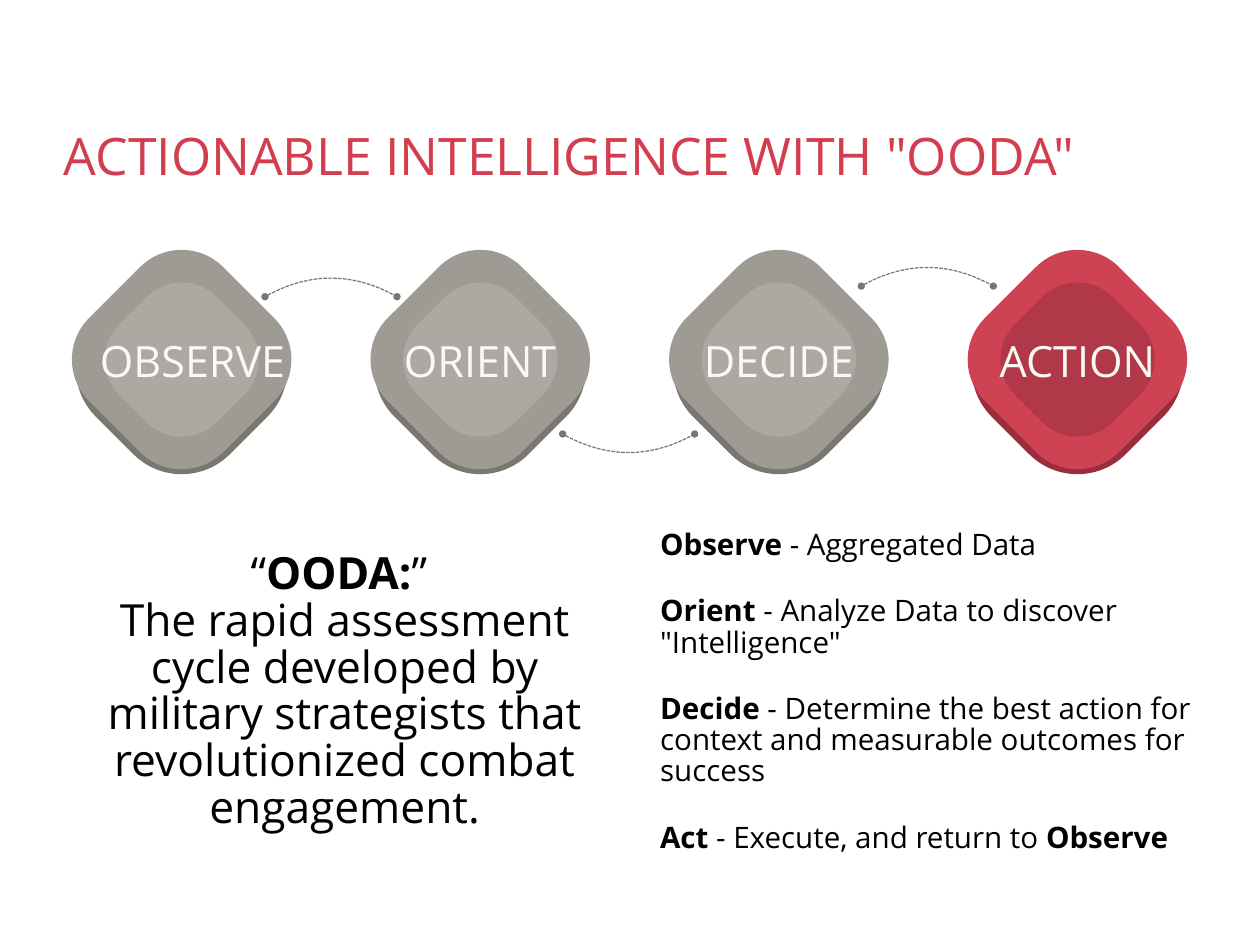
import pptx
import pptx.util
import pptx.dml.color
import pptx.enum.dml
import pptx.enum.shapes
import pptx.enum.text
import pptx.oxml.ns
from lxml import etree

Inches = pptx.util.Inches
Pt = pptx.util.Pt
RGBColor = pptx.dml.color.RGBColor
ALIGN = pptx.enum.text.PP_ALIGN

RED = RGBColor(0xD2, 0x3E, 0x4F)
BLACK = RGBColor(0, 0, 0)
CREAM = RGBColor(0xF9, 0xFA, 0xF5)
ARC = RGBColor(0x7A, 0x76, 0x6F)
GRAYS = (RGBColor(0x7A, 0x76, 0x70), RGBColor(0x9E, 0x9A, 0x94),
         RGBColor(0xAD, 0xA8, 0xA1))
REDS = (RGBColor(0x9A, 0x2D, 0x3C), RGBColor(0xCE, 0x42, 0x54),
        RGBColor(0xB0, 0x38, 0x49))

# Each layer of a gem: side, centre height, corner rounding
LAYERS = ((2.14, 4.16, 0.36), (2.14, 4.06, 0.31), (1.56, 4.06, 0.36))
FIRST, PITCH = 2.05, 3.37
STEPS = (("OBSERVE", GRAYS, 0.25), ("ORIENT", GRAYS, 0),
         ("DECIDE", GRAYS, 0), ("ACTION", REDS, 0))
# Each arc: left, height of its ends, rise (negative is up)
ARCS = ((2.99, 3.35, -0.21), (6.35, 4.9, 0.21), (9.72, 3.23, -0.21))

# Runs alternate between plain and bold, starting with plain
QUOTE = (("“", "OODA:", "” "),
         ("The rapid assessment cycle developed by military strategists "
          "that revolutionized combat engagement.",))
TERMS = (("", "Observe", " - Aggregated Data"),
         ("", "Orient", " - Analyze Data to discover \"Intelligence\""),
         ("", "Decide", " - Determine the best action for context and "
          "measurable outcomes for success"),
         ("", "Act", " - Execute, and return to ", "Observe"))


def put(item, **vals):
    for name, val in vals.items():
        setattr(item, name, val)


class Deck:
    def __init__(self):
        self.font = "Open Sans"
        self.frame = {
            "word_wrap": True,
            "auto_size": pptx.enum.text.MSO_AUTO_SIZE.NONE,
            "vertical_anchor": pptx.enum.text.MSO_ANCHOR.MIDDLE,
            **{"margin_" + side: Inches(0.03)
               for side in ("left", "right", "top", "bottom")}}
        self.prs = pptx.Presentation()
        put(self.prs, slide_width=Inches(14.22), slide_height=Inches(10.67))
        self.slide = self.prs.slides.add_slide(self.prs.slide_layouts[3])

    def words(self, shape, paras, size, color, align, lead=1.0, gap=0):
        frame = shape.text_frame
        put(frame, **self.frame)
        for i, runs in enumerate(paras):
            para = frame.add_paragraph() if i else frame.paragraphs[0]
            put(para, alignment=align, line_spacing=lead, space_after=Pt(0),
                space_before=Pt(gap if i else 0))
            for j, text in enumerate(runs):
                if text:
                    run = para.add_run()
                    run.text = text
                    put(run.font, name=self.font, size=Pt(size),
                        bold=j % 2 == 1)
                    run.font.color.rgb = color

    def fill(self, index, box, paras, size, color, align, **gaps):
        """Move a placeholder to box and set unbulleted text in it."""
        shape = self.slide.placeholders[index]
        put(shape, **dict(zip(("left", "top", "width", "height"),
                              map(Inches, box))))
        self.words(shape, paras, size, color, align, **gaps)
        for para in shape.text_frame.paragraphs:
            props = para._p.get_or_add_pPr()
            props.set("marL", "0")
            props.set("indent", "0")
            etree.SubElement(props, pptx.oxml.ns.qn("a:buNone"))

    def gem(self, mid, label, colors, shift):
        for (side, high, bend), color in zip(LAYERS, colors):
            shape = self.slide.shapes.add_shape(
                pptx.enum.shapes.MSO_SHAPE.ROUNDED_RECTANGLE,
                Inches(mid - side / 2), Inches(high - side / 2),
                Inches(side), Inches(side))
            shape.adjustments[0] = bend
            shape.rotation = 45
            shape.shadow.inherit = False
            shape.fill.solid()
            shape.fill.fore_color.rgb = color
            shape.line.fill.background()
        box = self.slide.shapes.add_textbox(
            Inches(mid - 1.33), Inches(3.71), Inches(2.66), Inches(0.71))
        self.words(box, ((label,),), 35, CREAM, ALIGN.CENTER)
        box.text_frame.margin_left = Inches(0.03 + shift)

    def arc(self, left, base, rise, width=1.49, count=24):
        """Draw a dotted parabola with a round dot at each end."""
        spots = [(Inches(left + width * i / count),
                  Inches(base + rise * (1 - (2 * i / count - 1) ** 2)))
                 for i in range(count + 1)]
        pen = self.slide.shapes.build_freeform(*spots[0])
        pen.add_line_segments(spots[1:], close=False)
        shape = pen.convert_to_shape()
        shape.shadow.inherit = False
        shape.fill.background()
        shape.line.color.rgb = ARC
        put(shape.line, width=Pt(1),
            dash_style=pptx.enum.dml.MSO_LINE.SQUARE_DOT)
        line = shape.line._get_or_add_ln()
        for end in ("a:headEnd", "a:tailEnd"):
            etree.SubElement(line, pptx.oxml.ns.qn(end), type="oval")


def main():
    deck = Deck()
    deck.fill(0, (0.69, 1.32, 12.76, 0.85),
              (("ACTIONABLE INTELLIGENCE WITH \"OODA\"",),),
              42, RED, ALIGN.LEFT)
    deck.fill(1, (0.85, 5.41, 6.08, 4.82), QUOTE, 36, BLACK,
              ALIGN.CENTER, lead=0.88)
    deck.fill(2, (7.42, 5.5, 6.08, 4.64), TERMS, 24, BLACK,
              ALIGN.LEFT, lead=0.88, gap=28.8)
    for arc in ARCS:
        deck.arc(*arc)
    for i, step in enumerate(STEPS):
        deck.gem(FIRST + i * PITCH, *step)
    deck.prs.save("out.pptx")


if __name__ == "__main__":
    main()
